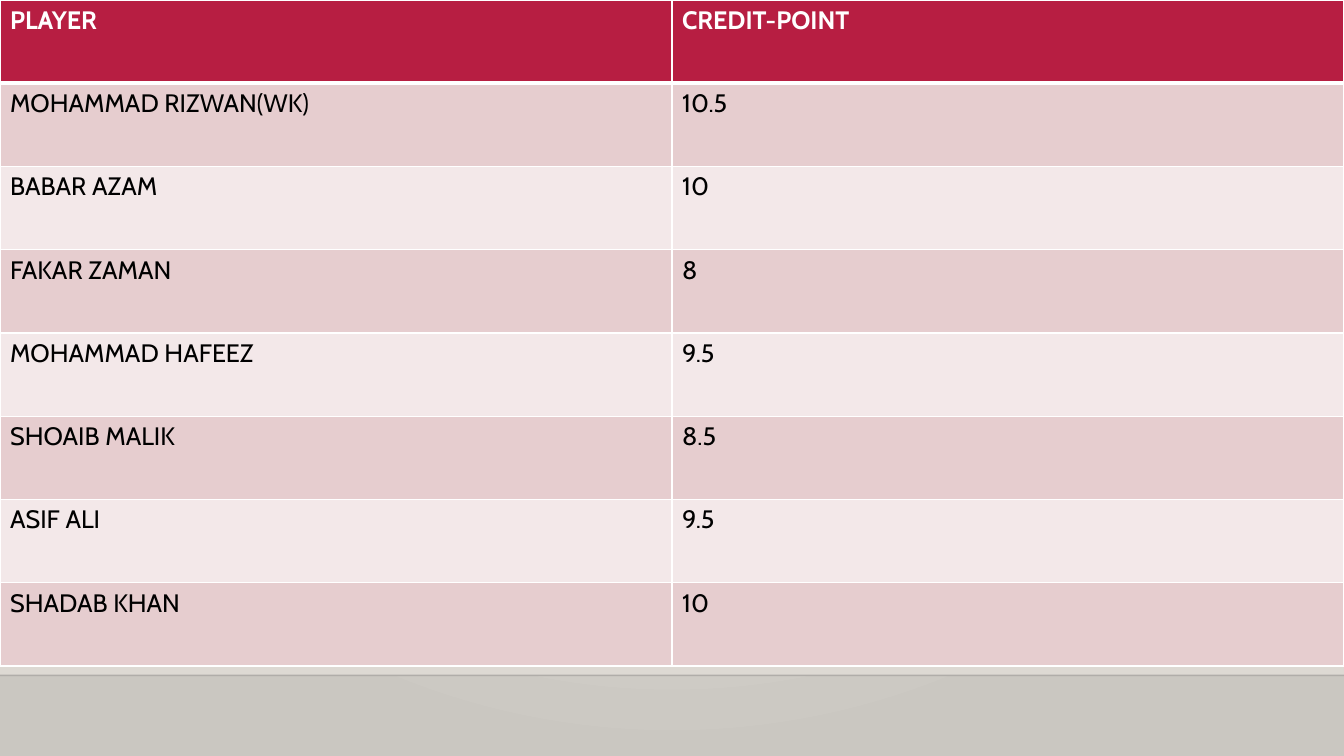
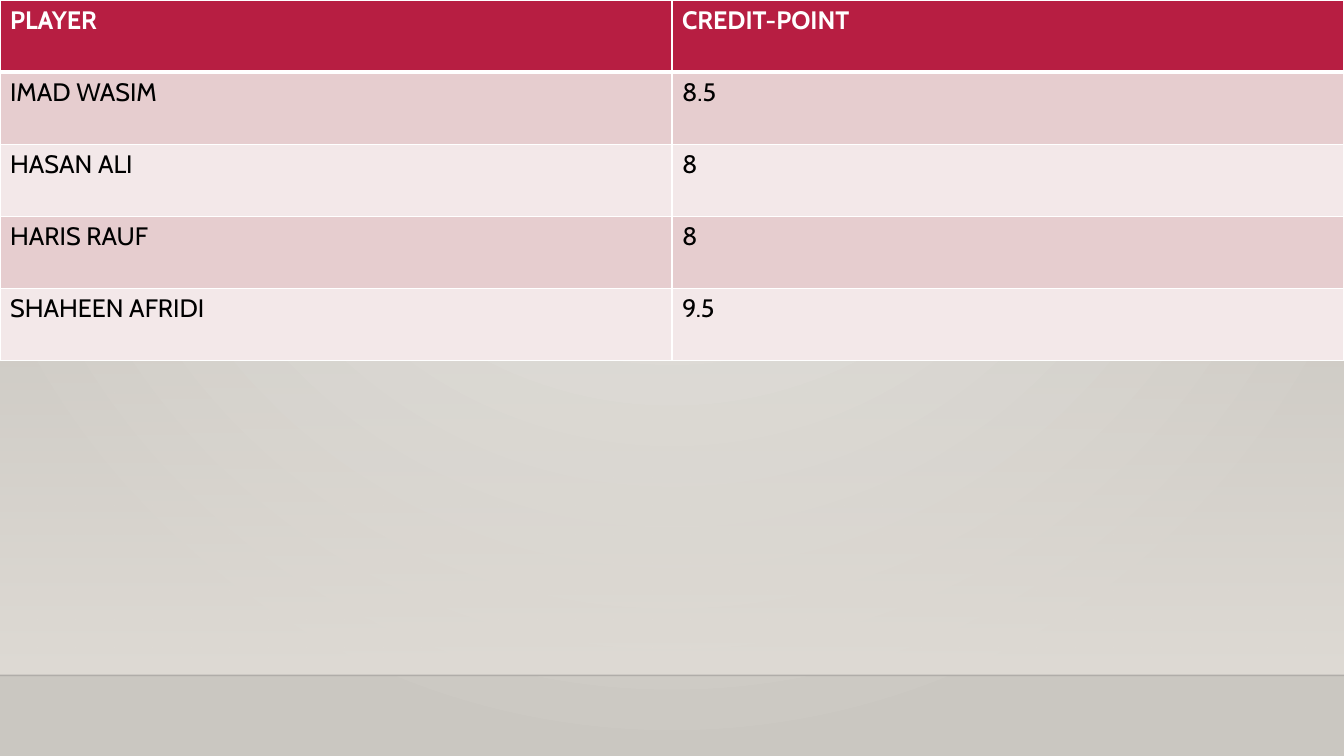
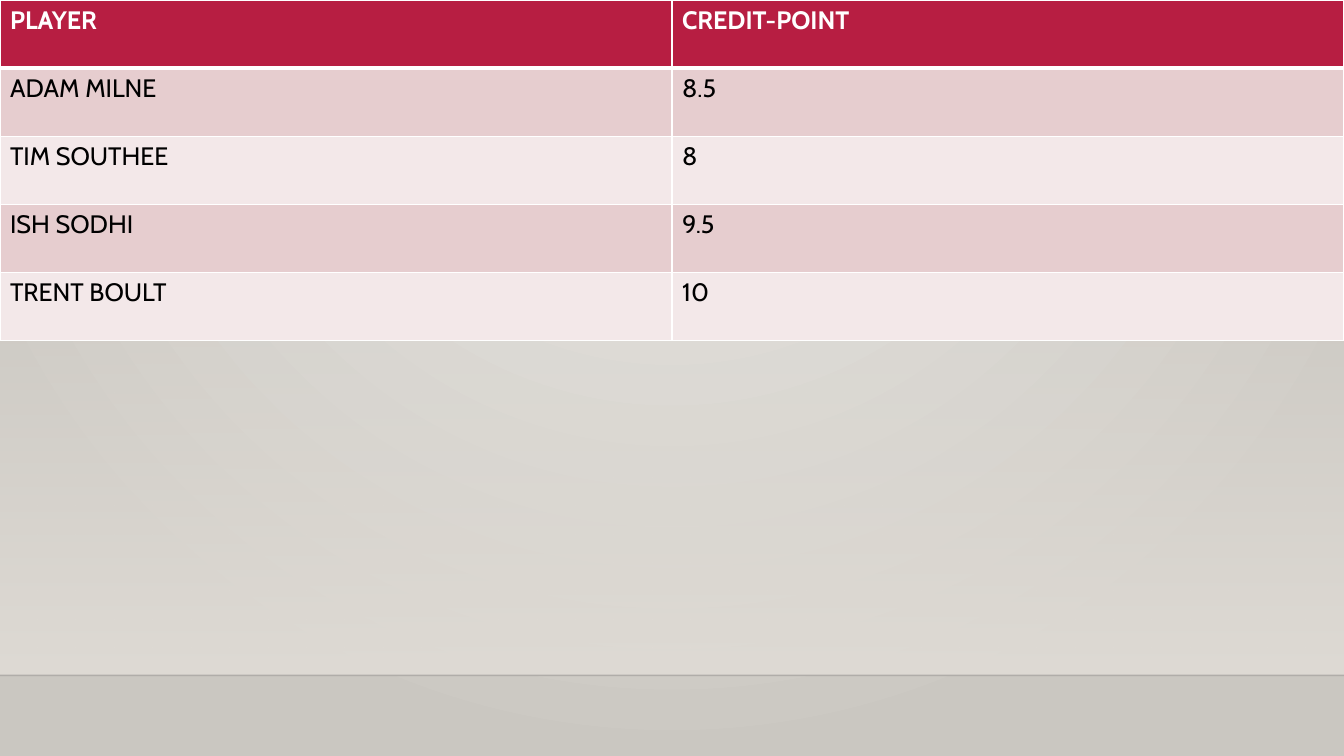
"""Build three slides of player credit-point tables on a shared backdrop."""
from lxml.etree import SubElement
from pptx import Presentation
from pptx.dml.color import RGBColor
from pptx.enum.shapes import MSO_CONNECTOR, MSO_SHAPE
from pptx.oxml import parse_xml
from pptx.oxml.ns import nsdecls, qn
from pptx.util import Inches, Pt

HEADER = ("PLAYER", "CREDIT-POINT")
TABLES = [
    {"height": 6.61, "players": [
        ("MOHAMMAD RIZWAN(WK)", "10.5"),
        ("BABAR AZAM", "10"),
        ("FAKAR ZAMAN", "8"),
        ("MOHAMMAD HAFEEZ", "9.5"),
        ("SHOAIB MALIK", "8.5"),
        ("ASIF ALI", "9.5"),
        ("SHADAB KHAN", "10"),
    ]},
    {"height": 3.58, "players": [
        ("IMAD WASIM", "8.5"),
        ("HASAN ALI", "8"),
        ("HARIS RAUF", "8"),
        ("SHAHEEN AFRIDI", "9.5"),
    ]},
    {"height": 3.38, "players": [
        ("ADAM MILNE", "8.5"),
        ("TIM SOUTHEE", "8"),
        ("ISH SODHI", "9.5"),
        ("TRENT BOULT", "10"),
    ]},
]

FONT = "Cabin"
WHITE = RGBColor(0xFF, 0xFF, 0xFF)
BLACK = RGBColor(0, 0, 0)
CRIMSON = RGBColor(0xB7, 0x1E, 0x42)
ROSE = RGBColor(0xE6, 0xCD, 0xCF)
PALE_ROSE = RGBColor(0xF3, 0xE8, 0xE9)
BG_LIGHT = RGBColor(0xEC, 0xEA, 0xE7)
BG_DARK = RGBColor(0xCA, 0xC7, 0xC1)
WALL = RGBColor(0xDF, 0xDB, 0xD5)
FLOOR_LINE = RGBColor(0, 0, 1)

WIDTH, HEIGHT = Inches(13.33), Inches(7.5)
WALL_TOP, FLOOR_TOP = Inches(2.21), Inches(6.7)


def set_gradient(fill, colors):
    fill.gradient()
    for position, (stop, color) in enumerate(zip(fill.gradient_stops, colors)):
        stop.color.rgb = color
        stop.position = position


def set_alpha(color_element, percent):
    SubElement(color_element, qn("a:alpha"), val=str(percent * 1000))


def style_master(master):
    set_gradient(master.background.fill, (BG_LIGHT, BG_DARK))
    grad = master.element.find(".//" + qn("a:gradFill"))
    grad.remove(grad.find(qn("a:lin")))
    path = SubElement(grad, qn("a:path"), path="circle")
    SubElement(path, qn("a:fillToRect"), l="43000", t="0", r="43000", b="100000")


def move_backdrop_to_layout(slide, layout):
    for ph in list(layout.placeholders):
        ph.element.getparent().remove(ph.element)

    wall = slide.shapes.add_shape(
        MSO_SHAPE.RECTANGLE, 0, WALL_TOP, WIDTH, FLOOR_TOP - WALL_TOP)
    wall.shadow.inherit = False
    wall.line.fill.background()
    set_gradient(wall.fill, (WALL, WALL))
    wall.fill.gradient_angle = 270
    set_alpha(wall.element.find(".//" + qn("a:srgbClr")), 0)

    floor = slide.shapes.add_connector(
        MSO_CONNECTOR.STRAIGHT, 0, FLOOR_TOP, WIDTH, FLOOR_TOP)
    floor.line.color.rgb = FLOOR_LINE
    floor.line.width = Pt(1)
    set_alpha(floor.element.find(".//" + qn("a:srgbClr")), 20)
    SubElement(floor.element.spPr, qn("a:effectLst"))

    for sp in (wall, floor):
        layout.shapes.element.append(sp.element)


def set_borders(cell, top, bottom):
    tc_pr = cell._tc.get_or_add_tcPr()
    for i, (side, width) in enumerate(
            (("L", 1), ("R", 1), ("T", top), ("B", bottom))):
        tc_pr.insert(i, parse_xml(
            f'<a:ln{side} {nsdecls("a")} w="{Pt(width)}"><a:solidFill>'
            f'<a:srgbClr val="{WHITE}"/></a:solidFill></a:ln{side}>'))


def add_credit_table(slide, height, players):
    rows = [HEADER, *players]
    table = slide.shapes.add_table(
        len(rows), len(HEADER), 0, 0, WIDTH, Inches(height)).table
    for i, row in enumerate(rows):
        is_header = i == 0
        fill = CRIMSON if is_header else ROSE if i % 2 else PALE_ROSE
        for j, text in enumerate(row):
            cell = table.cell(i, j)
            cell.fill.solid()
            cell.fill.fore_color.rgb = fill
            set_borders(cell, 3 if i == 1 else 1, 3 if is_header else 1)
            cell.text_frame.text = text
            font = cell.text_frame.paragraphs[0].runs[0].font
            font.name, font.size, font.bold = FONT, Pt(18), is_header
            font.color.rgb = WHITE if is_header else BLACK


def main():
    prs = Presentation()
    prs.slide_width, prs.slide_height = WIDTH, HEIGHT
    layout = prs.slide_layouts[6]
    style_master(prs.slide_master)
    slides = [prs.slides.add_slide(layout) for _ in TABLES]
    move_backdrop_to_layout(slides[0], layout)
    for slide, table in zip(slides, TABLES):
        add_credit_table(slide, **table)
    prs.save("out.pptx")


if __name__ == "__main__":
    main()
